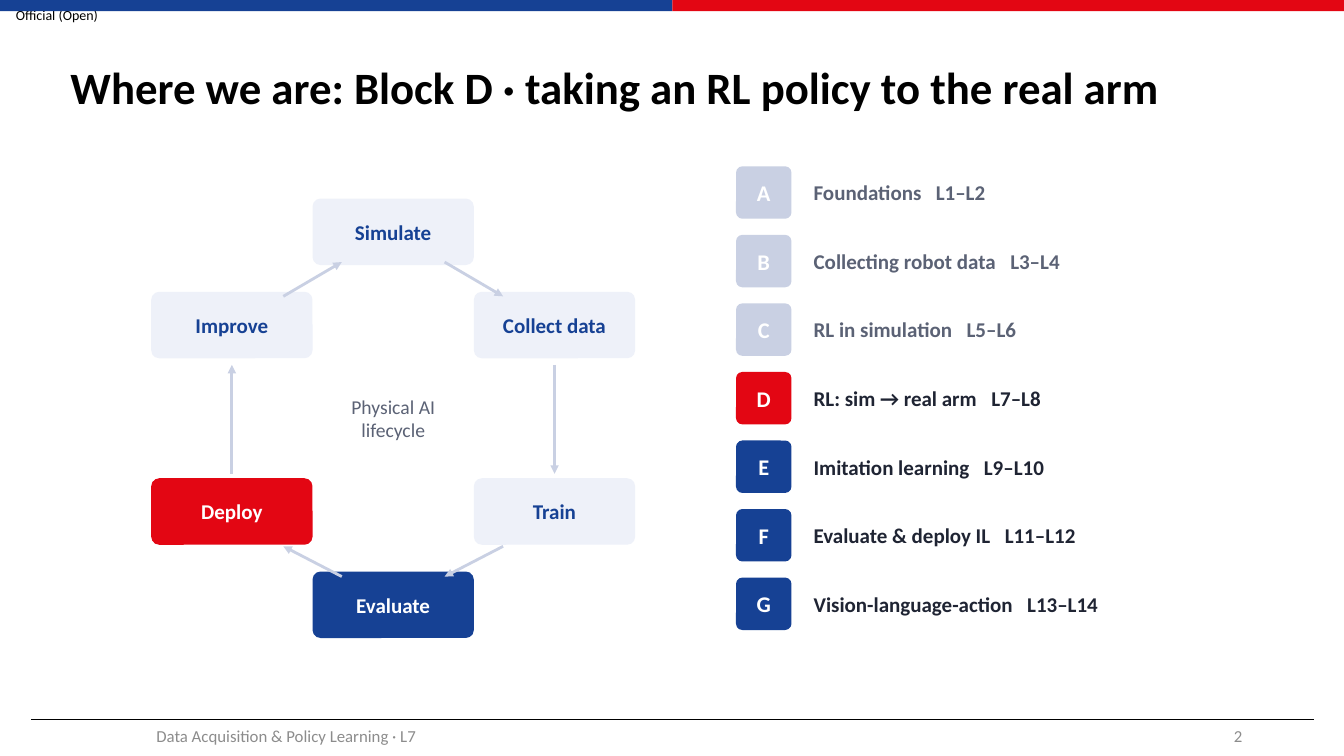
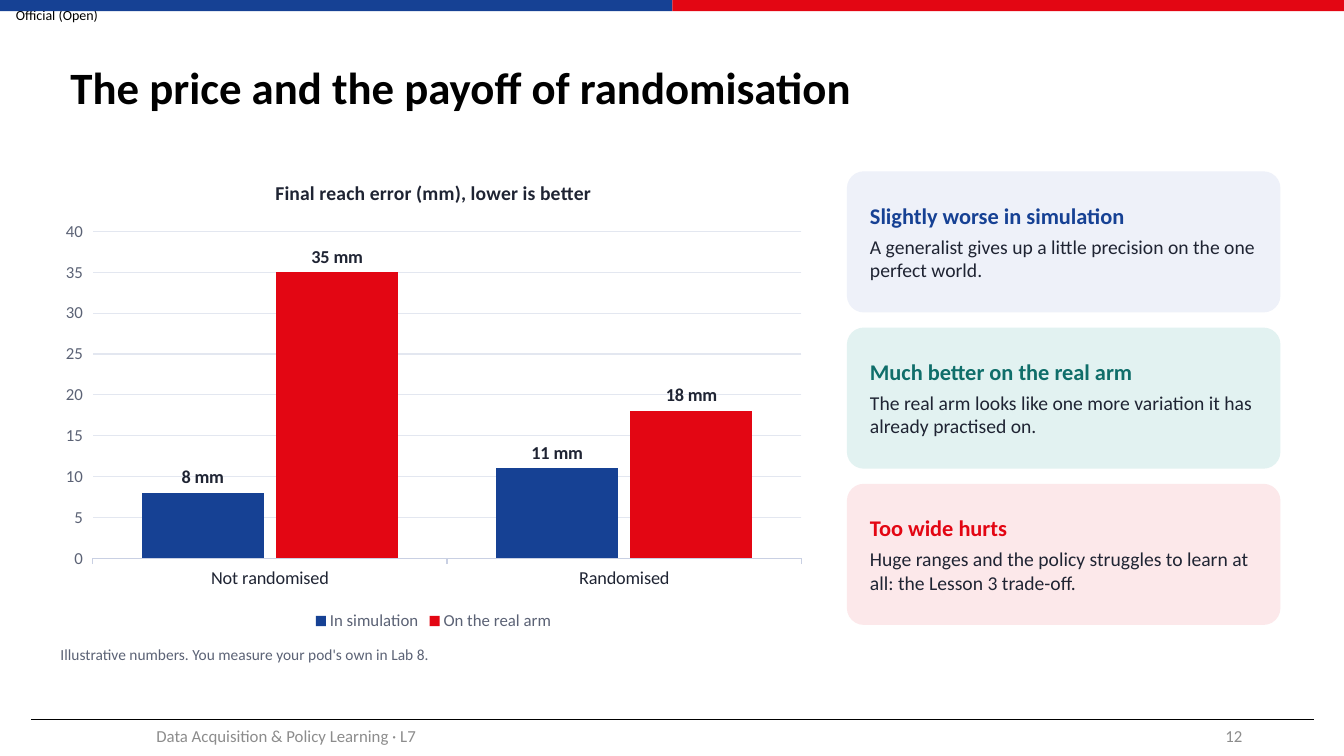
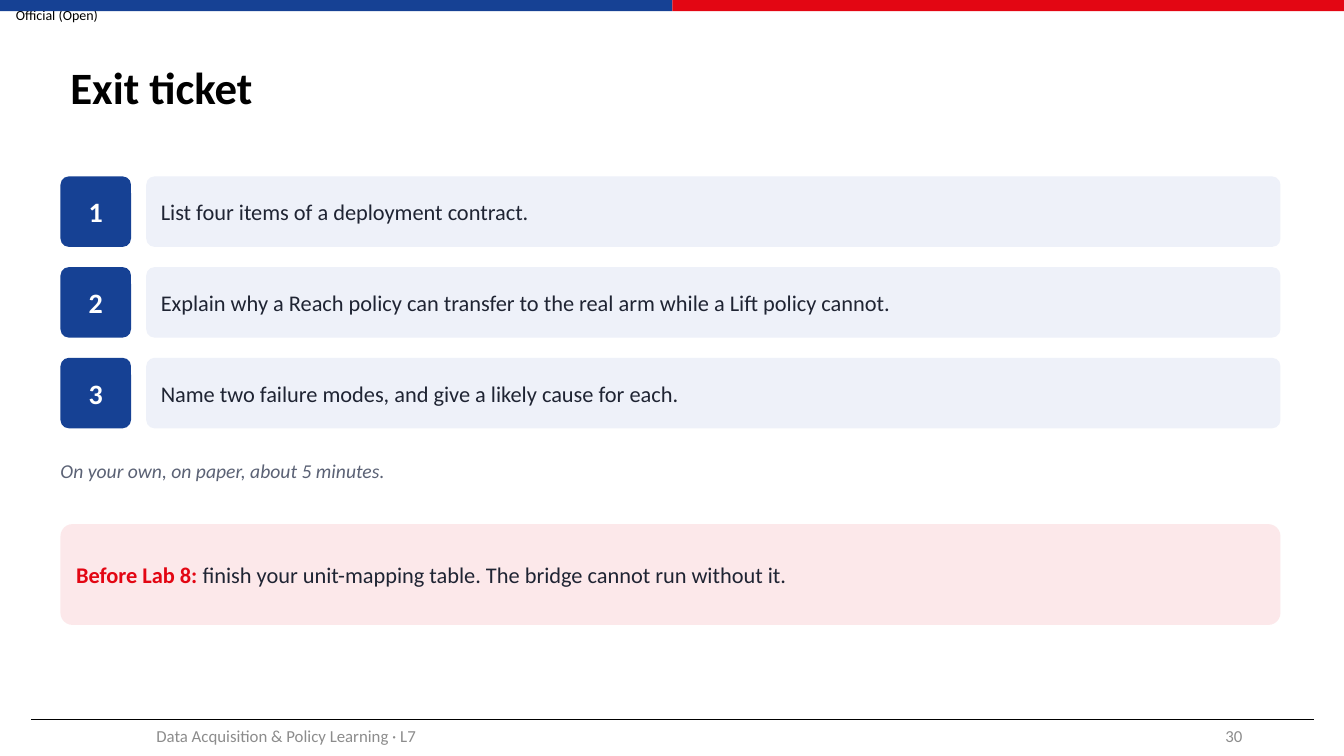
from lxml import etree
from pptx import Presentation
from pptx.chart.data import CategoryChartData
from pptx.dml.color import RGBColor
from pptx.enum.chart import XL_CHART_TYPE as CT, XL_LABEL_POSITION as LP, XL_LEGEND_POSITION as LG
from pptx.enum.shapes import MSO_CONNECTOR as MC, MSO_SHAPE as MS
from pptx.enum.text import MSO_ANCHOR as MA, PP_ALIGN as PA
from pptx.oxml.ns import qn
from pptx.util import Inches, Pt

# Shared style
FONT = "Calibri"
BLUE, RED, TEAL, WHITE, BLACK = "164194", "E30613", "0F6E6A", "FFFFFF", "000000"
INK, MUTED, FOOT = "1F2433", "5B6275", "8C8C8C"
PALE_BLUE, PALE_TEAL, PALE_RED = "EEF1F9", "E2F2F1", "FCE8EA"
SOFT, GRID = "C9D0E3", "E3E7F0"
PAD, TIGHT, DEFAULT, NONE = (0.12, 0.06), (0.02, 0.02), (0.1, 0.05), (0, 0)
MARK = "Official (Open)"
FOOTER = "Data Acquisition & Policy Learning · L7"

# Lifecycle slide
LIFECYCLE_TITLE = "Where we are: Block D · taking an RL policy to the real arm"
CYCLE_X, CYCLE_Y = 3.9, 4.15
STAGES = [  # label, column and row offset from the centre, fill, text colour
    ("Simulate", 0, -2, PALE_BLUE, BLUE),
    ("Collect data", 1, -1, PALE_BLUE, BLUE),
    ("Train", 1, 1, PALE_BLUE, BLUE),
    ("Evaluate", 0, 2, BLUE, WHITE),
    ("Deploy", -1, 1, RED, WHITE),
    ("Improve", -1, -1, PALE_BLUE, BLUE),
]
RIGHT_ARROWS = [(4.41, 2.6, 4.99, 2.94), (5.5, 3.62, 5.5, 4.7), (4.99, 5.42, 4.41, 5.72)]
BLOCKS = [
    ("A", "Foundations", "L1–L2"),
    ("B", "Collecting robot data", "L3–L4"),
    ("C", "RL in simulation", "L5–L6"),
    ("D", "RL: sim → real arm", "L7–L8"),
    ("E", "Imitation learning", "L9–L10"),
    ("F", "Evaluate & deploy IL", "L11–L12"),
    ("G", "Vision-language-action", "L13–L14"),
]
CURRENT = 3

# Randomisation slide
PAYOFF_TITLE = "The price and the payoff of randomisation"
CHART_TITLE = "Final reach error (mm), lower is better"
CATEGORIES = ["Not randomised", "Randomised"]
SERIES = [("In simulation", (8, 11), BLUE), ("On the real arm", (35, 18), RED)]
CHART_NOTE = "Illustrative numbers. You measure your pod's own in Lab 8."
CARDS = [
    ("Slightly worse in simulation",
     "A generalist gives up a little precision on the one perfect world.", PALE_BLUE, BLUE),
    ("Much better on the real arm",
     "The real arm looks like one more variation it has already practised on.", PALE_TEAL, TEAL),
    ("Too wide hurts",
     "Huge ranges and the policy struggles to learn at all: the Lesson 3 trade-off.", PALE_RED, RED),
]

# Exit ticket slide
EXIT_TITLE = "Exit ticket"
TASKS = [
    "List four items of a deployment contract.",
    "Explain why a Reach policy can transfer to the real arm while a Lift policy cannot.",
    "Name two failure modes, and give a likely cause for each.",
]
EXIT_NOTE = "On your own, on paper, about 5 minutes."
REMINDER = ("Before Lab 8: ", "finish your unit-mapping table. The bridge cannot run without it.")


def rgb(color):
    return RGBColor.from_string(color)


def style(font, size, color, bold=False, italic=False):
    font.name, font.size, font.bold, font.italic = FONT, Pt(size), bold, italic
    font.color.rgb = rgb(color)


def write(sp, paras, align=PA.LEFT, anchor=MA.MIDDLE, ins=PAD, after=0, spacing=None):
    """Each paragraph is a list of runs: (text, size, colour[, bold[, italic]])."""
    tf = sp.text_frame
    tf.word_wrap, tf.vertical_anchor = True, anchor
    tf.margin_left = tf.margin_right = Inches(ins[0])
    tf.margin_top = tf.margin_bottom = Inches(ins[1])
    for i, runs in enumerate(paras):
        p = tf.add_paragraph() if i else tf.paragraphs[0]
        p.alignment = align
        if spacing:
            p.line_spacing = spacing
        if after and i < len(paras) - 1:
            p.space_after = Pt(after)
        for text, *look in runs:
            r = p.add_run()
            r.text = text
            style(r.font, *look)
    return sp


def label(s, box, paras, **kw):
    return write(s.shapes.add_textbox(*map(Inches, box)), paras, **kw)


def panel(s, box, fill, kind=MS.ROUNDED_RECTANGLE):
    sp = s.shapes.add_shape(kind, *map(Inches, box))
    sp.shadow.inherit = False
    sp.fill.solid()
    sp.fill.fore_color.rgb = rgb(fill)
    sp.line.fill.background()
    if kind == MS.ROUNDED_RECTANGLE:
        sp.adjustments[0] = 0.12
    return sp


def badge(s, box, text, size, fill):
    write(panel(s, box, fill), [[(text, size, WHITE, True)]], align=PA.CENTER, ins=TIGHT)


def line(s, ends, color, width, arrow=False):
    c = s.shapes.add_connector(MC.STRAIGHT, *map(Inches, ends))
    c.line.color.rgb, c.line.width = rgb(color), Pt(width)
    if arrow:
        etree.SubElement(c.line._get_or_add_ln(), qn("a:tailEnd"), type="triangle")
    etree.SubElement(c._element.spPr, qn("a:effectLst"))


def new_slide(prs, title, number):
    s = prs.slides.add_slide(prs.slide_layouts[6])
    label(s, (0, 0, 1.13, 0.29), [[(MARK, 10, BLACK)]], align=PA.CENTER, ins=NONE)
    for i, color in enumerate((BLUE, RED)):
        panel(s, (i * 6.67, 0, 6.67, 0.11), color, MS.RECTANGLE)
    line(s, (0.31, 7.14, 13.03, 7.14), BLACK, 0.5)
    label(s, (0.6, 0.3, 12.08, 1.18), [[(title, 32, BLACK, True)]], ins=DEFAULT, spacing=0.9)
    label(s, (0.59, 7.1, 4.5, 0.4), [[(FOOTER, 12, FOOT)]], align=PA.CENTER, ins=DEFAULT)
    label(s, (9.42, 7.1, 3, 0.4), [[(str(number), 12, FOOT)]], align=PA.RIGHT, ins=DEFAULT)
    return s


def lifecycle_slide(prs):
    s = new_slide(prs, LIFECYCLE_TITLE, 2)
    # Ring of stages
    w, h = 1.6, 0.66
    for text, col, row, fill, color in STAGES:
        x, y = CYCLE_X + col * w - w / 2, CYCLE_Y + row * 0.925 - h / 2
        write(panel(s, (x, y, w, h), fill), [[(text, 15, color, True)]], align=PA.CENTER)
    # Arrows: the left half mirrors the right half, in reverse
    for x1, y1, x2, y2 in RIGHT_ARROWS:
        line(s, (x1, y1, x2, y2), SOFT, 2, arrow=True)
        line(s, (2 * CYCLE_X - x2, y2, 2 * CYCLE_X - x1, y1), SOFT, 2, arrow=True)
    label(s, (2.8, 3.8, 2.2, 0.7), [[(t, 14, MUTED)] for t in ("Physical AI", "lifecycle")],
          align=PA.CENTER)
    # Course blocks
    for i, (letter, name, lessons) in enumerate(BLOCKS):
        y = 1.65 + i * 0.68
        fill = SOFT if i < CURRENT else RED if i == CURRENT else BLUE
        look = (15, MUTED if i < CURRENT else INK, True)
        badge(s, (7.3, y, 0.55, 0.52), letter, 16, fill)
        sp = label(s, (7.95, y - 0.02, 4.6, 0.56), [[(name, *look), (" ", *look), (lessons, *look)]])
        # Widen the gap before the lesson numbers by character spacing
        gap = sp.text_frame.paragraphs[0].runs[1]
        gap._r.get_or_add_rPr().set("spc", "680")


def error_chart(s):
    data = CategoryChartData()
    data.categories = CATEGORIES
    for name, values, _ in SERIES:
        data.add_series(name, values)
    box = map(Inches, (0.5, 1.6, 7.6, 4.7))
    chart = s.shapes.add_chart(CT.COLUMN_CLUSTERED, *box, data).chart
    style(chart.font, 18, BLACK)
    chart.has_title = True
    r = chart.chart_title.text_frame.paragraphs[0].add_run()
    r.text = CHART_TITLE
    style(r.font, 14, INK, True)
    chart.chart_title.include_in_layout = False
    chart.has_legend = True
    chart.legend.position, chart.legend.include_in_layout = LG.BOTTOM, False
    style(chart.legend.font, 12, MUTED)
    # Axes
    cat, val = chart.category_axis, chart.value_axis
    style(cat.tick_labels.font, 13, INK)
    style(val.tick_labels.font, 12, MUTED)
    val.minimum_scale, val.maximum_scale, val.major_unit = 0, 40, 5
    val.format.line.fill.background()
    for ln, color in ((cat.format.line, SOFT), (val.major_gridlines.format.line, GRID)):
        ln.color.rgb, ln.width = rgb(color), Pt(0.75)
    # Columns and their labels
    plot = chart.plots[0]
    plot.gap_width, plot.overlap, plot.vary_by_categories = 80, -10, False
    for series, (_, _, color) in zip(plot.series, SERIES):
        series.format.fill.solid()
        series.format.fill.fore_color.rgb = rgb(color)
        dl = series.data_labels
        dl.show_value, dl.position = True, LP.OUTSIDE_END
        dl.number_format, dl.number_format_is_linked = '0" mm"', False
        style(dl.font, 13, INK, True)


def payoff_slide(prs):
    s = new_slide(prs, PAYOFF_TITLE, 12)
    error_chart(s)
    label(s, (0.6, 6.4, 7.4, 0.35), [[(CHART_NOTE, 11, MUTED)]], anchor=MA.TOP, ins=NONE)
    for i, (head, body, fill, color) in enumerate(CARDS):
        card = panel(s, (8.4, 1.7 + i * 1.55, 4.3, 1.4), fill)
        write(card, [[(head, 16, color, True)], [(body, 14, INK)]], ins=(0.18, 0.1), after=4)


def exit_slide(prs):
    s = new_slide(prs, EXIT_TITLE, 30)
    for i, task in enumerate(TASKS):
        y = 1.75 + i * 0.9
        badge(s, (0.6, y, 0.7, 0.7), str(i + 1), 20, BLUE)
        write(panel(s, (1.45, y, 11.25, 0.7), PALE_BLUE), [[(task, 16, INK)]])
    label(s, (0.6, 4.55, 12.1, 0.4), [[(EXIT_NOTE, 14, MUTED, False, True)]],
          anchor=MA.TOP, ins=NONE)
    lead, rest = REMINDER
    write(panel(s, (0.6, 5.2, 12.1, 1), PALE_RED), [[(lead, 16, RED, True), (rest, 16, INK)]])


def main():
    prs = Presentation()
    prs.slide_width, prs.slide_height = Inches(13.33), Inches(7.5)
    lifecycle_slide(prs)
    payoff_slide(prs)
    exit_slide(prs)
    prs.save("out.pptx")


if __name__ == "__main__":
    main()
